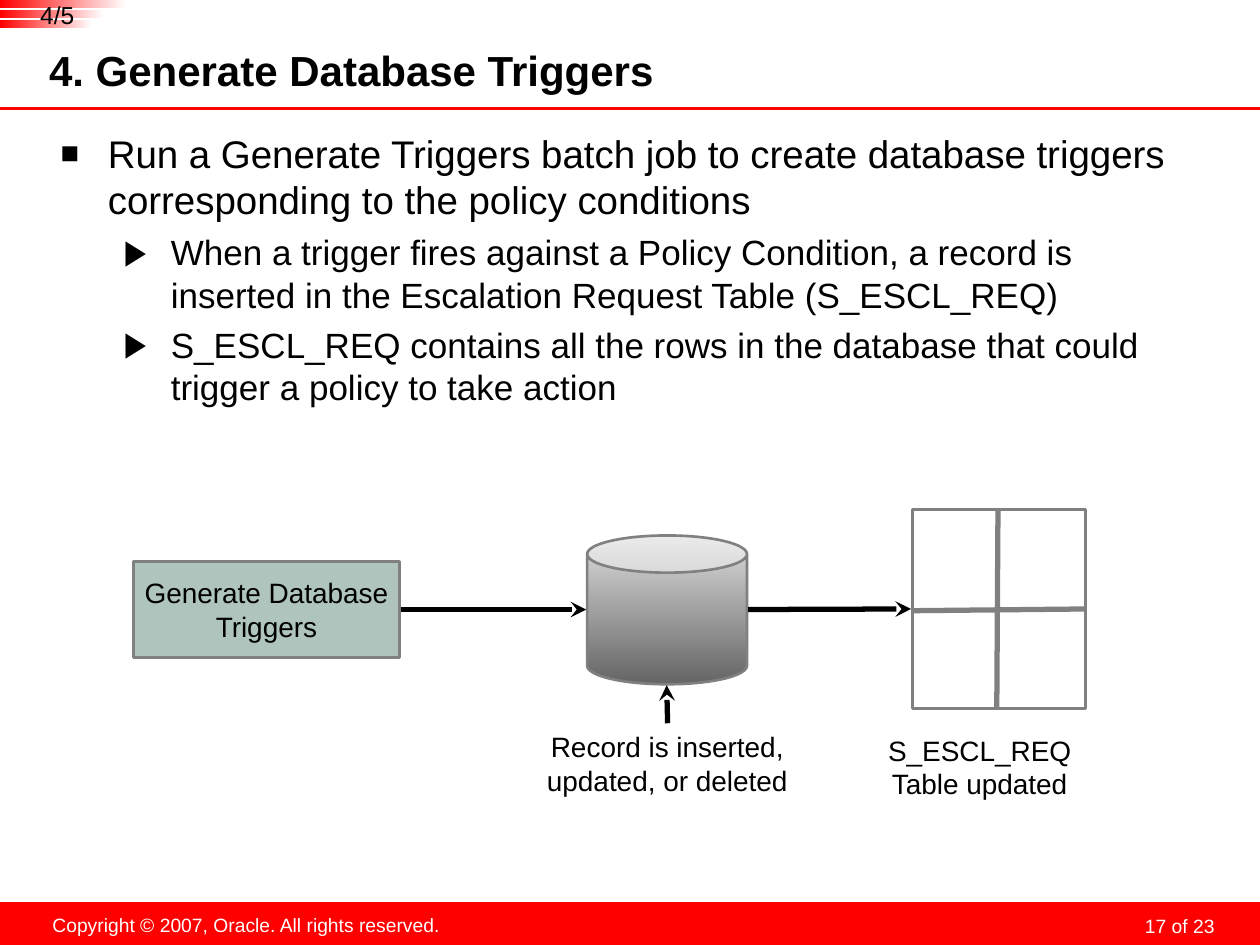
from lxml import etree
from pptx import Presentation
from pptx import util as u
from pptx.dml.color import RGBColor
from pptx.enum import shapes, text
from pptx.oxml.ns import qn

RED, BLACK, WHITE, GRAY = "FF0000", "000000", "FFFFFF", "808080"
CENTER, LEFT, RIGHT = text.PP_ALIGN.CENTER, text.PP_ALIGN.LEFT, text.PP_ALIGN.RIGHT
TOP, MIDDLE = text.MSO_ANCHOR.TOP, text.MSO_ANCHOR.MIDDLE


def color(value):
    return RGBColor.from_string(value)


def set_format(target, values):
    for name, value in values.items():
        setattr(target, name, value)


def place(shape, box):
    set_format(shape, dict(zip(("left", "top", "width", "height"), map(u.Pt, box))))


def format_frame(frame, insets=(7.2, 3.6, 7.2, 3.6), anchor=TOP, wrap=True):
    sides = ("margin_left", "margin_top", "margin_right", "margin_bottom")
    set_format(frame, dict(zip(sides, map(u.Pt, insets))))
    set_format(frame, {"auto_size": text.MSO_AUTO_SIZE.NONE,
                       "vertical_anchor": anchor, "word_wrap": wrap})


def format_paragraph(paragraph, size, ink=BLACK, bold=False, **values):
    set_format(paragraph, values)
    set_format(paragraph.font, {"name": "Arial", "size": u.Pt(size), "bold": bold})
    paragraph.font.color.rgb = color(ink)


def write(shape, words, size, ink=BLACK, align=CENTER, **frame_format):
    """Fill a shape with text; a newline starts a new paragraph."""
    frame = shape.text_frame
    frame.text = words
    format_frame(frame, **frame_format)
    for paragraph in frame.paragraphs:
        format_paragraph(paragraph, size, ink, alignment=align)


def add_label(slide, box, words, size, **options):
    label = slide.shapes.add_textbox(*map(u.Pt, box))
    write(label, words, size, **options)
    return label


def add_block(slide, kind, box, fill=None, outline=None, width=1.75):
    """Preset shape; fill is None, a colour, or (first, last, angle)."""
    shape = slide.shapes.add_shape(kind, *map(u.Pt, box))
    shape.shadow.inherit = False
    if fill is None:
        shape.fill.background()
    elif isinstance(fill, str):
        shape.fill.solid()
        shape.fill.fore_color.rgb = color(fill)
    else:
        first, last, angle = fill
        shape.fill.gradient()
        shape.fill.gradient_angle = angle
        for stop, value in zip(shape.fill.gradient_stops, (first, last)):
            stop.color.rgb = color(value)
    if outline:
        shape.line.color.rgb = color(outline)
        shape.line.width = u.Pt(width)
    else:
        shape.line.fill.background()
    return shape


def add_line(slide, ends, ink, width=3, arrow=False):
    line = slide.shapes.add_connector(shapes.MSO_CONNECTOR.STRAIGHT, *map(u.Pt, ends))
    line.line.color.rgb = color(ink)
    line.line.width = u.Pt(width)
    properties = line.element.spPr
    if arrow:
        etree.SubElement(properties.find(qn("a:ln")), qn("a:tailEnd"), type="stealth")
    etree.SubElement(properties, qn("a:effectLst"))


def add_bullet(paragraph, character, percent, indent):
    properties = paragraph._p.get_or_add_pPr()
    properties.set("marL", str(u.Pt(indent)))
    properties.set("indent", str(-u.Pt(27)))
    bullet_color = etree.SubElement(properties, qn("a:buClr"))
    etree.SubElement(bullet_color, qn("a:srgbClr"), val=BLACK)
    etree.SubElement(properties, qn("a:buSzPct"), val=str(percent * 1000))
    etree.SubElement(properties, qn("a:buFont"), typeface="Arial")
    etree.SubElement(properties, qn("a:buChar"), char=character)


def fill_title(title):
    place(title, (28, 27.4, 566.6, 28.8))
    title.text_frame.text = "4. Generate Database Triggers"
    format_frame(title.text_frame, (0, 0, 3.6, 3.6), MIDDLE)
    format_paragraph(title.text_frame.paragraphs[0], 24, bold=True, alignment=LEFT)


def fill_body(body):
    items = [
        (0, "Run a Generate Triggers batch job to create database triggers "
            "corresponding to the policy conditions"),
        (1, "When a trigger fires against a Policy Condition, a record is "
            "inserted in the Escalation Request Table (S_ESCL_REQ)"),
        (1, "S_ESCL_REQ contains all the rows in the database that could "
            "trigger a policy to take action"),
    ]
    # character, bullet percent, indent, text size, space before
    levels = [("■", 80, 27, 22, 0), ("▶", 100, 63, 20, 5)]
    place(body, (27.4, 67, 669.6, 445))
    frame = body.text_frame
    frame.text = "\n".join(words for _, words in items)
    format_frame(frame, (7.2, 7.2, 7.2, 3.6))
    for paragraph, (level, _) in zip(frame.paragraphs, items):
        character, percent, indent, size, before = levels[level]
        add_bullet(paragraph, character, percent, indent)
        format_paragraph(paragraph, size, level=level, space_before=u.Pt(before))


def draw_frame(slide):
    # Footer band and the rule under the title
    add_block(slide, shapes.MSO_SHAPE.RECTANGLE, (0, 515.5, 720, 24.5), RED)
    page = add_label(slide, (530, 517.7, 167.8, 18), "17 of 23", 11, ink=WHITE,
                     align=RIGHT, insets=(3.6, 0, 3.6, 0))
    page.text_frame.paragraphs[0].line_spacing = u.Pt(18)
    add_label(slide, (22.3, 518.4, 236.9, 20.9),
              "Copyright © 2007, Oracle. All rights reserved.", 11, ink=WHITE, wrap=False)
    add_line(slide, (0, 62, 720, 62), RED, 1.75)
    # Step marker with fading stripes
    for row, width in enumerate((72.7, 59, 52.6)):
        stripe = add_block(slide, shapes.MSO_SHAPE.ROUNDED_RECTANGLE,
                           (0, row * 5.8, width, 4.5), (WHITE, RED, 180))
        stripe.adjustments[0] = 0
    add_label(slide, (14.4, 0, 36.7, 16.6), "4/5", 14, insets=(0, 0, 0, 0))


def draw_flow(slide):
    # Batch job, database and request table
    job = add_block(slide, shapes.MSO_SHAPE.RECTANGLE, (76.3, 321, 152, 54.7),
                    "AEC4BD", GRAY)
    write(job, "Generate Database\vTriggers", 16, anchor=MIDDLE, wrap=False)
    add_block(slide, shapes.MSO_SHAPE.CAN, (335.5, 306, 91.4, 85),
              ("DDDDDD", "656565", 270), GRAY, 1.5)
    add_block(slide, shapes.MSO_SHAPE.RECTANGLE, (521.3, 291, 98.8, 113.8), None, GRAY)
    # Table grid
    for ends in ((570.3, 291, 569.6, 404), (521.3, 349, 620.5, 348)):
        add_line(slide, ends, GRAY)
    # Flow arrows
    for ends in ((229, 348.3, 335, 348.3), (427.5, 348.3, 520.6, 348),
                 (381.5, 413.3, 381, 391.5)):
        add_line(slide, ends, BLACK, arrow=True)
    # Captions
    add_label(slide, (301, 413.3, 160.6, 46), "Record is inserted, updated, or deleted", 16)
    add_label(slide, (479.5, 415.5, 160.6, 46), "S_ESCL_REQ\nTable updated", 16)


def main():
    presentation = Presentation()
    set_format(presentation, {"slide_width": u.Pt(720), "slide_height": u.Pt(540)})
    slide = presentation.slides.add_slide(presentation.slide_layouts[1])
    fill_title(slide.shapes.title)
    fill_body(slide.placeholders[1])
    draw_frame(slide)
    draw_flow(slide)
    presentation.save("out.pptx")


if __name__ == "__main__":
    main()
